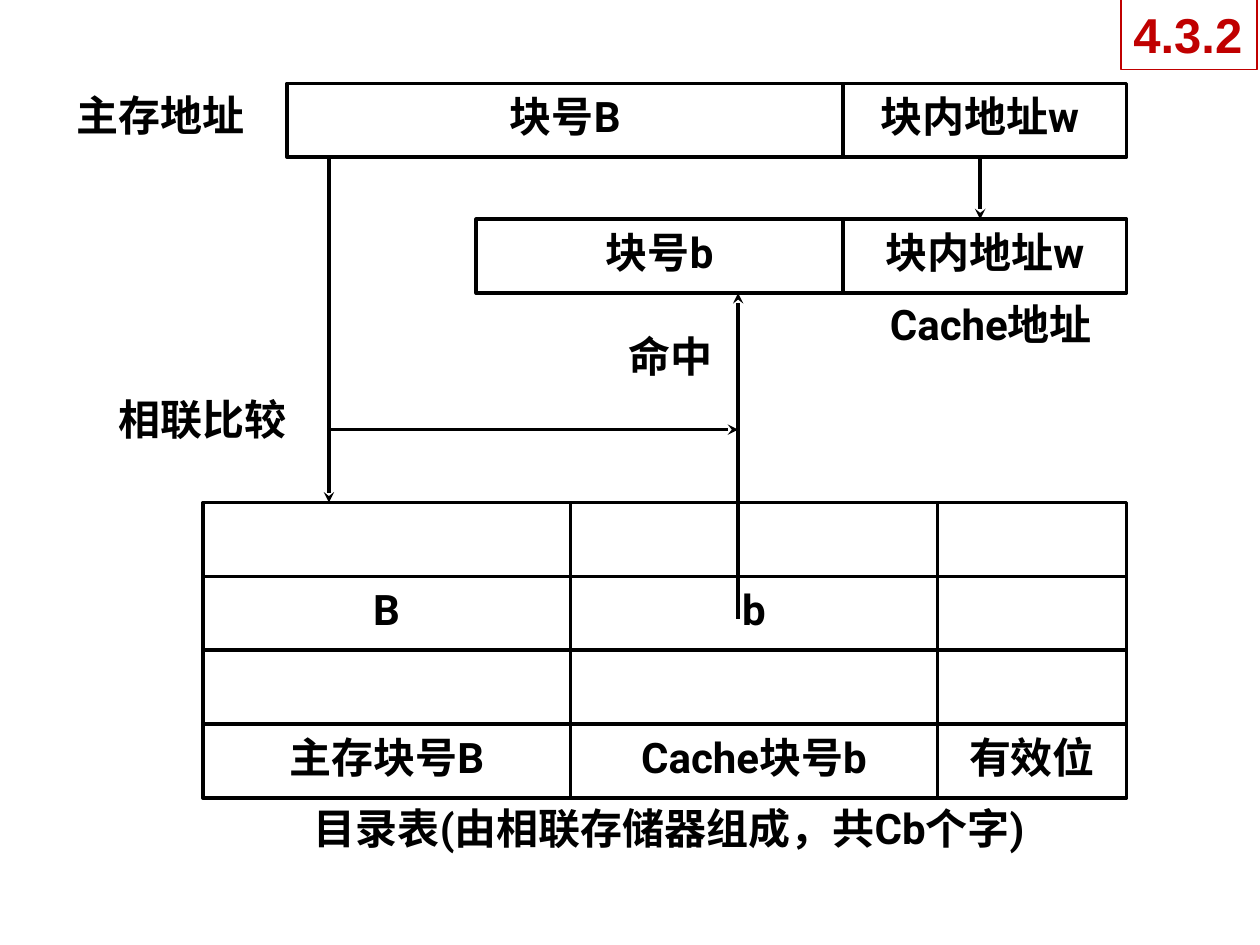
from lxml import etree
from pptx import Presentation
from pptx.dml.color import RGBColor
from pptx.enum.shapes import MSO_CONNECTOR, MSO_SHAPE
from pptx.enum.text import MSO_ANCHOR, MSO_AUTO_SIZE, PP_ALIGN
from pptx.oxml.ns import qn
from pptx.util import Cm, Pt

STRAIGHT = MSO_CONNECTOR.STRAIGHT
RECTANGLE = MSO_SHAPE.RECTANGLE
MIDDLE = MSO_ANCHOR.MIDDLE
CENTER, LEFT = PP_ALIGN.CENTER, PP_ALIGN.LEFT
FIT_SHAPE = MSO_AUTO_SIZE.SHAPE_TO_FIT_TEXT

COLORS = {"ink": "000000", "accent": "C00000", "paper": "FFFFFF"}

# All positions and sizes are in centimetres.
CELL_HEIGHT = 1.49
LABEL_HEIGHT = 1.47
MAIN_TOP, CACHE_TOP, DIRECTORY_TOP = 1.68, 4.42, 10.13
RIGHT = 22.71
OFFSET_LEFT = 17.0
COMPARE_X, HIT_X, OFFSET_X = 6.63, 14.88, 19.76

# top, column edges, rows of cell texts
GRIDS = [
    (MAIN_TOP, (5.79, OFFSET_LEFT, RIGHT), [("块号B", "块内地址w ")]),
    (CACHE_TOP, (9.6, OFFSET_LEFT, RIGHT), [("块号b", "块内地址w")]),
    (DIRECTORY_TOP, (4.09, 11.5, 18.9, RIGHT), [
        ("", "", ""),
        ("B", "b", ""),
        ("", "", ""),
        ("主存块号B", "Cache块号b", "有效位"),
    ]),
]

# text, left, top, width
LABELS = [
    ("主存地址", 0.91, MAIN_TOP, 4.65),
    ("Cache地址", 17.22, 5.89, 5.51),
    ("命中", 12.14, 6.53, 2.74),
    ("相联比较", 1.75, 7.8, 4.65),
    ("目录表(由相联存储器组成，共Cb个字)", 4.75, 16.05, 17.48),
]

# start x, start y, end x, end y
ARROWS = [
    (OFFSET_X, MAIN_TOP + CELL_HEIGHT, OFFSET_X, CACHE_TOP),
    (COMPARE_X, MAIN_TOP + CELL_HEIGHT, COMPARE_X, DIRECTORY_TOP),
    (HIT_X, 12.47, HIT_X, CACHE_TOP + CELL_HEIGHT),
    (COMPARE_X, 8.66, HIT_X, 8.66),
]

SECTION_NUMBER = ("4.3.2", 22.6, -0.04, 2.74, 1.45)

FRAME_FORMAT = {
    "word_wrap": False, "vertical_anchor": MIDDLE,
    "margin_left": Cm(0.2), "margin_right": Cm(0.2),
    "margin_top": Cm(0.1), "margin_bottom": Cm(0.1),
}
PARAGRAPH_FORMAT = {"alignment": CENTER, "line_spacing": 0.8}
FONT_FORMAT = {"name": "Roboto", "size": Pt(24), "bold": True}


def color(name):
    return RGBColor.from_string(COLORS[name])


def apply(target, values):
    for name, value in values.items():
        setattr(target, name, value)


def write(shape, text, ink="ink", frame_format=FRAME_FORMAT,
          paragraph_format=PARAGRAPH_FORMAT, font_format=FONT_FORMAT):
    frame = shape.text_frame
    apply(frame, frame_format)
    paragraph = frame.paragraphs[0]
    apply(paragraph, paragraph_format)
    run = paragraph.add_run()
    run.text = text
    apply(run.font, font_format)
    run.font.color.rgb = color(ink)


def add_box(slide, left, top, width, height, line="ink", line_width=2):
    shape = slide.shapes.add_shape(
        RECTANGLE, Cm(left), Cm(top), Cm(width), Cm(height))
    shape.shadow.inherit = False
    shape.fill.background()
    shape.line.color.rgb = color(line)
    shape.line.width = Pt(line_width)
    return shape


def add_grid(slide, top, edges, rows):
    for row, texts in enumerate(rows):
        for left, right, text in zip(edges, edges[1:], texts):
            cell = add_box(slide, left, top + row * CELL_HEIGHT,
                           right - left, CELL_HEIGHT)
            if text:
                write(cell, text)


def add_arrow(slide, *ends):
    arrow = slide.shapes.add_connector(STRAIGHT, *map(Cm, ends))
    arrow.line.color.rgb = color("ink")
    arrow.line.width = Pt(2)
    etree.SubElement(arrow.line._get_or_add_ln(), qn("a:tailEnd"), type="stealth")
    etree.SubElement(arrow._element.spPr, qn("a:effectLst"))


def add_section_number(slide, text, *place):
    box = add_box(slide, *place, line="accent", line_width=0.75)
    box.fill.solid()
    box.fill.fore_color.rgb = color("paper")
    write(box, text, "accent",
          {"word_wrap": False, "auto_size": FIT_SHAPE,
           "vertical_anchor": MSO_ANCHOR.TOP},
          {"alignment": LEFT},
          {"name": "Arial", "size": Pt(28), "bold": True})


def main():
    presentation = Presentation()
    presentation.slide_width, presentation.slide_height = Cm(25.4), Cm(19.05)
    slide = presentation.slides.add_slide(presentation.slide_layouts[6])
    for grid in GRIDS:
        add_grid(slide, *grid)
    for text, left, top, width in LABELS:
        label = slide.shapes.add_textbox(
            Cm(left), Cm(top), Cm(width), Cm(LABEL_HEIGHT))
        write(label, text)
    for arrow in ARROWS:
        add_arrow(slide, *arrow)
    add_section_number(slide, *SECTION_NUMBER)
    presentation.save("out.pptx")


if __name__ == "__main__":
    main()
